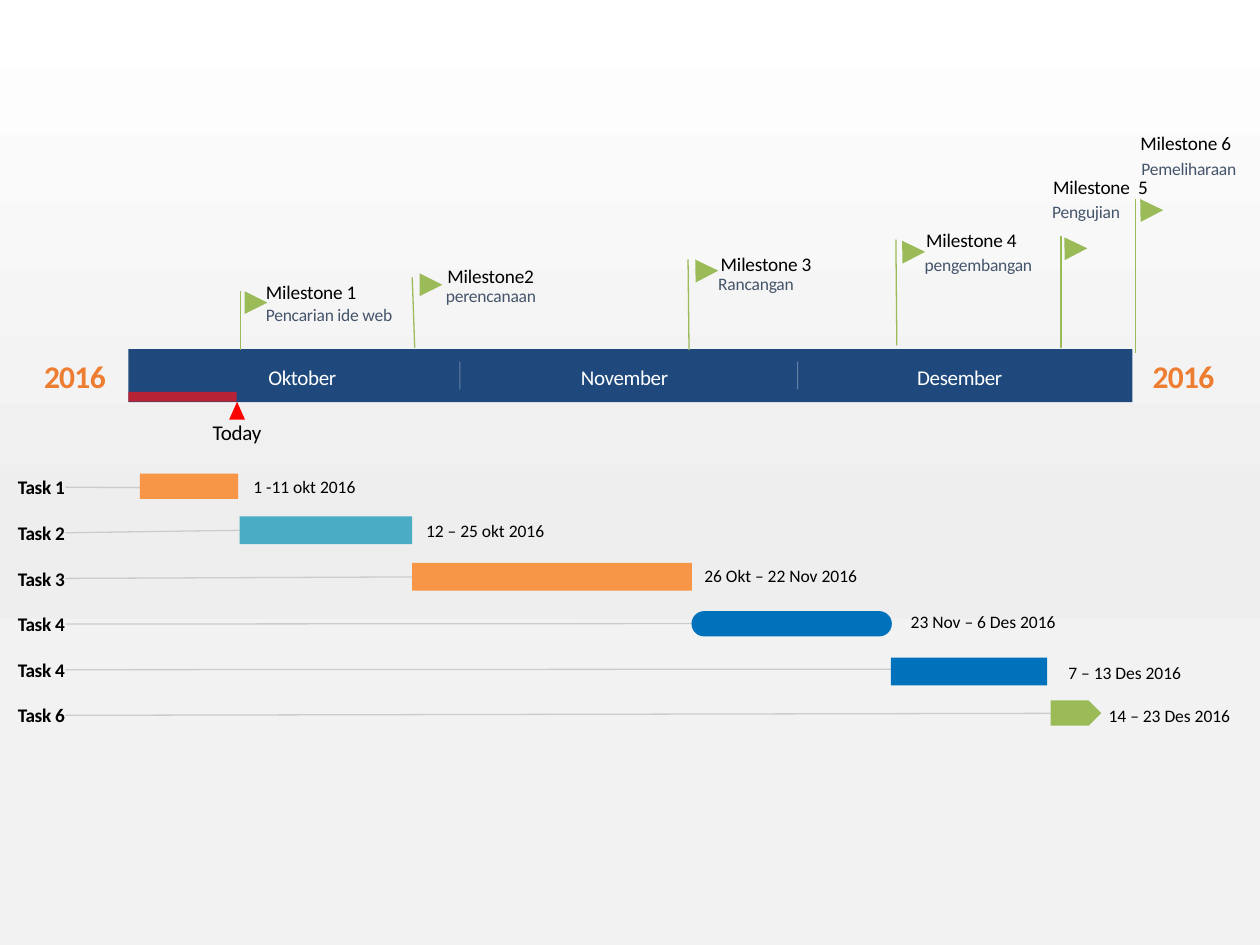
from lxml import etree
from pptx import Presentation
from pptx.dml.color import RGBColor
from pptx.enum.shapes import MSO_CONNECTOR, MSO_SHAPE
from pptx.enum.text import MSO_ANCHOR, PP_ALIGN
from pptx.oxml.ns import qn
from pptx.util import Cm, Pt

LEFT, CENTER = PP_ALIGN.LEFT, PP_ALIGN.CENTER
MIDDLE = MSO_ANCHOR.MIDDLE
STRAIGHT = MSO_CONNECTOR.STRAIGHT
RECT, ROUND = MSO_SHAPE.RECTANGLE, MSO_SHAPE.ROUNDED_RECTANGLE
PENTAGON, TRIANGLE = MSO_SHAPE.PENTAGON, MSO_SHAPE.ISOSCELES_TRIANGLE
FLAG = MSO_SHAPE.FLOWCHART_MERGE

SLIDE_W, SLIDE_H = 25.4, 19.05
COLORS = {
    "black": "000000", "white": "FFFFFF", "navy": "1F497D", "red": "FF0000",
    "elapsed": "EA161E", "year": "ED7D31", "note": "44546A", "guide": "CCCCCC",
    "green": "9BBB59", "orange": "F79646", "teal": "4BACC6", "blue": "0072BC",
}
BACKDROP = [(0, "FFFFFF"), (57, "EEEEEE"), (74, "F2F2F2"), (100, "F2F2F2")]

# style: size, colour, bold, letter spacing in 1/100 pt, alignment
STYLES = {
    "year": (18, "year", True, -40, CENTER),
    "today": (12, "black", False, -10, CENTER),
    "month": (12, "white", False, -20, LEFT),
    "milestone": (11, "black", False, -10, LEFT),
    "note": (10, "note", False, -10, LEFT),
    "task": (11, "black", True, -20, LEFT),
    "date": (10, "black", False, 0, LEFT),
}

# name, name position, note, note position, pole (x1, y1, x2, y2), flag position, turn
MILESTONES = [
    ("Milestone 1", (5.36, 5.64), "Pencarian ide web", (5.36, 6.12),
     (4.85, 5.87, 4.85, 7.06), (4.93, 5.87), 270),
    ("Milestone2", (9.02, 5.33), "perencanaan", (8.99, 5.74),
     (8.31, 5.59, 8.36, 7.01), (8.46, 5.51), 270),
    ("Milestone 3", (14.53, 5.08), "Rancangan", (14.48, 5.51),
     (13.87, 5.23, 13.89, 7.06), (14.02, 5.23), 269),
    ("Milestone 4", (18.67, 4.6), "pengembangan", (18.64, 5.11),
     (18.06, 4.83, 18.08, 6.96), (18.19, 4.85), 269),
    ("Milestone  5", (21.23, 3.53), "Pengujian", (21.21, 4.04),
     (21.39, 4.75, 21.39, 7.01), (21.46, 4.78), 269),
    ("Milestone 6", (22.99, 2.64), "Pemeliharaan", (23.01, 3.18),
     (22.89, 4.01, 22.89, 7.11), (22.99, 4.01), 269),
]

# name, bar shape, bar colour, bar box, guide end height, date, date position
TASKS = [
    ("Task 1", RECT, "orange", (2.82, 9.55, 1.98, 0.51), 9.83,
     "1 -11 okt 2016", (5.11, 9.6)),
    ("Task 2", RECT, "teal", (4.83, 10.41, 3.48, 0.56), 10.69,
     "12 – 25 okt 2016", (8.59, 10.49)),
    ("Task 3", RECT, "orange", (8.31, 11.35, 5.64, 0.56), 11.63,
     "26 Okt – 22 Nov 2016", (14.2, 11.38)),
    ("Task 4", ROUND, "blue", (13.94, 12.32, 4.04, 0.51), 12.57,
     "23 Nov – 6 Des 2016", (18.36, 12.32)),
    ("Task 4", RECT, "blue", (17.96, 13.26, 3.15, 0.56), 13.49,
     "7 – 13 Des 2016", (21.54, 13.34)),
    ("Task 6", PENTAGON, "green", (21.18, 14.12, 1.02, 0.51), 14.38,
     "14 – 23 Des 2016", (22.35, 14.2)),
]
TASK_TOP, TASK_STEP, TASK_H = 9.58, 0.92, 0.48


class Timeline:
    """Holds the slide and the style of its elements."""

    font = "Calibri"

    def __init__(self, slide):
        """Keep the slide to draw on."""
        self.slide = slide

    def set_alpha(self, part, percent):
        """Make the solid colour inside an XML part see-through."""
        color = part.find(".//" + qn("a:srgbClr"))
        etree.SubElement(color, qn("a:alpha")).set("val", str(percent * 1000))

    def shape(self, kind, box, color, alpha=None, turn=0):
        """Add a preset shape without outline."""
        item = self.slide.shapes.add_shape(kind, *map(Cm, box))
        item.shadow.inherit = False
        item.line.fill.background()
        item.fill.solid()
        item.fill.fore_color.rgb = RGBColor.from_string(COLORS[color])
        item.rotation = turn
        if alpha:
            self.set_alpha(item.fill._xPr, alpha)
        return item

    def backdrop(self):
        """Cover the slide with the vertical grey gradient."""
        item = self.shape(RECT, (0, 0, SLIDE_W, SLIDE_H), "white")
        item.fill.gradient()
        item.fill.gradient_angle = 270
        stops = item.fill._xPr.find(".//" + qn("a:gsLst"))
        for old in list(stops):
            stops.remove(old)
        for position, color in BACKDROP:
            stop = etree.SubElement(stops, qn("a:gs"), pos=str(position * 1000))
            etree.SubElement(stop, qn("a:srgbClr"), val=color)

    def line(self, ends, color, width=0.75, alpha=None):
        """Add a straight line between two points."""
        item = self.slide.shapes.add_connector(STRAIGHT, *map(Cm, ends))
        item.line.width = Pt(width)
        item.line.color.rgb = RGBColor.from_string(COLORS[color])
        if alpha:
            self.set_alpha(item.line._ln, alpha)
        etree.SubElement(item._element.spPr, qn("a:effectLst"))

    def text(self, words, style, left, top, width, height):
        """Add one line of text, kept inside the slide's right edge."""
        size, color, bold, spacing, align = STYLES[style]
        width = min(width, SLIDE_W - left)
        box = self.slide.shapes.add_textbox(*map(Cm, (left, top, width, height)))
        frame = box.text_frame
        layout = {"word_wrap": True, "vertical_anchor": MIDDLE, "margin_left": 0,
                  "margin_right": 0, "margin_top": 0, "margin_bottom": 0}
        for name, value in layout.items():
            setattr(frame, name, value)
        paragraph = frame.paragraphs[0]
        paragraph.alignment = align
        run = paragraph.add_run()
        run.text = words
        for name, value in {"name": self.font, "size": Pt(size), "bold": bold}.items():
            setattr(run.font, name, value)
        run.font.color.rgb = RGBColor.from_string(COLORS[color])
        run._r.get_or_add_rPr().set("spc", str(spacing))

    def milestone(self, name, name_at, note, note_at, pole, flag_at, turn):
        """Add a flag on a pole with its name and note."""
        self.line(pole, "green")
        self.shape(FLAG, (*flag_at, 0.46, 0.46), "green", turn=turn)
        self.text(name, "milestone", *name_at, 2.24, 0.48)
        self.text(note, "note", *note_at, 3.91, 0.43)

    def task(self, row, name, kind, color, box, guide_end, date, date_at):
        """Add a task row: label, guide line, bar and date."""
        top = TASK_TOP + row * TASK_STEP
        self.line((1.32, top + TASK_H / 2, box[0], guide_end), "guide")
        bar = self.shape(kind, box, color)
        if kind == ROUND:
            bar.adjustments[0] = 0.5
        self.text(name, "task", 0.36, top, 1.1, TASK_H)
        self.text(date, "date", *date_at, 3.9, 0.43)

    def calendar(self):
        """Add the month band, the years and the marker for today."""
        self.shape(RECT, (2.59, 7.04, 20.24, 1.07), "navy")
        self.shape(RECT, (2.59, 7.9, 2.18, 0.2), "elapsed", alpha=75)
        self.shape(TRIANGLE, (4.62, 8.1, 0.32, 0.36), "red")
        self.text("Today", "today", 4.08, 8.46, 1.4, 0.51)
        for left in (0.71, 23.06):
            self.text("2016", "year", left, 7.19, 1.6, 0.79)
        for divider in (9.27, 16.08):
            self.line((divider, 7.29, divider, 7.85), "white", 0.5, alpha=30)
        for month, left in (("Oktober", 5.41), ("November", 11.71), ("Desember", 18.49)):
            self.text(month, "month", left, 7.34, 2.2, 0.51)


def main():
    """Build the timeline slide and save it."""
    deck = Presentation()
    deck.slide_width, deck.slide_height = Cm(SLIDE_W), Cm(SLIDE_H)
    timeline = Timeline(deck.slides.add_slide(deck.slide_layouts[6]))
    timeline.backdrop()
    for row, task in enumerate(TASKS):
        timeline.task(row, *task)
    timeline.calendar()
    for milestone in MILESTONES:
        timeline.milestone(*milestone)
    deck.save("out.pptx")


main()
